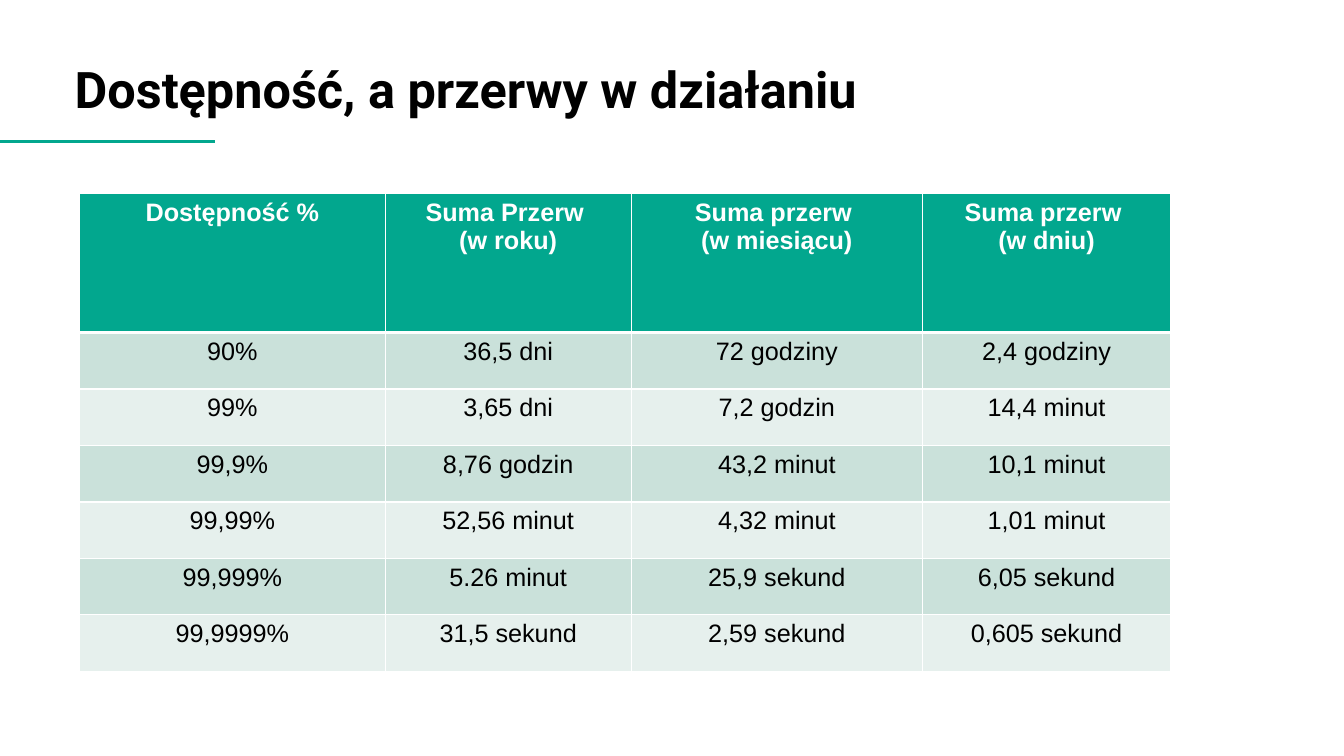
from dataclasses import dataclass

from lxml.etree import SubElement
from pptx import Presentation
from pptx.dml.color import RGBColor
from pptx.enum.shapes import MSO_CONNECTOR as Connector
from pptx.enum.text import MSO_ANCHOR as Anchor, PP_ALIGN as Align
from pptx.oxml.ns import qn
from pptx.util import Inches, Pt


@dataclass(frozen=True)
class Theme:
    """Colours, fonts and type sizes of the deck."""
    accent: str = "02A78E"
    bands: tuple = ("CAE1DA", "E6F0ED")
    ink: str = "000000"
    paper: str = "FFFFFF"
    title_font: str = "Roboto"
    body_font: str = "Arial"
    title_size: int = 36
    body_size: int = 18


@dataclass(frozen=True)
class Box:
    """A region measured in columns and rows of the slide grid."""
    left: float
    top: float
    width: float
    height: float


THEME = Theme()
COLUMNS, ROWS = 133.3, 75
TITLE_BOX = Box(7.4, 0, 118.4, 12.3)
RULE_BOX = Box(0, 14, 21.3, 0)
TABLE_BOX = Box(7.9, 19.2, 108.2, 47.4)
COLUMN_WIDTHS = (30.3, 24.4, 28.9, 24.6)
HEADER_HEIGHT = 13.8
TITLE = "Dostępność, a przerwy w działaniu"
OUTAGES = [
    ("Dostępność %", "Suma Przerw \n(w roku)", "Suma przerw \n(w miesiącu)", "Suma przerw \n(w dniu)"),
    ("90%", "36,5 dni", "72 godziny", "2,4 godziny"),
    ("99%", "3,65 dni", "7,2 godzin", "14,4 minut"),
    ("99,9%", "8,76 godzin", "43,2 minut", "10,1 minut"),
    ("99,99%", "52,56 minut", "4,32 minut", "1,01 minut"),
    ("99,999%", "5.26 minut", "25,9 sekund", "6,05 sekund"),
    ("99,9999%", "31,5 sekund", "2,59 sekund", "0,605 sekund"),
]


def grid(units):
    """Turn grid units into a slide length."""
    return Inches(units / 10)


def place(box):
    """Return the left, top, width and height of a box as lengths."""
    return [grid(units) for units in (box.left, box.top, box.width, box.height)]


def write(frame, text, *, font, size, color, bold=False, align=Align.LEFT):
    """Fill a text frame with one paragraph per line of text."""
    for index, line in enumerate(text.split("\n")):
        para = frame.add_paragraph() if index else frame.paragraphs[0]
        para.alignment = align
        span = para.add_run()
        span.text = line
        span.font.name = font
        span.font.size = Pt(size)
        span.font.bold = bold
        span.font.color.rgb = RGBColor.from_string(color)


def add_title(slide, box):
    """Place the slide title at the foot of its box."""
    frame = slide.shapes.add_textbox(*place(box)).text_frame
    frame.word_wrap = True
    frame.vertical_anchor = Anchor.BOTTOM
    frame.margin_left = frame.margin_right = 0
    write(frame, TITLE, font=THEME.title_font, size=THEME.title_size, color=THEME.ink, bold=True)


def add_rule(slide, box):
    """Draw the accent line along the top of its box."""
    left, top, width, _ = place(box)
    rule = slide.shapes.add_connector(Connector.STRAIGHT, left + width, top, left, top)
    rule.line.color.rgb = RGBColor.from_string(THEME.accent)
    rule.line.width = Pt(2)
    SubElement(rule._element.spPr, qn("a:effectLst"))


def add_borders(cell, top, bottom):
    """Give a cell white borders with the given top and bottom widths."""
    properties = cell._tc.get_or_add_tcPr()
    for side, width in (("L", 1), ("R", 1), ("T", top), ("B", bottom)):
        border = SubElement(properties, qn(f"a:ln{side}"), w=str(Pt(width)))
        fill = SubElement(border, qn("a:solidFill"))
        SubElement(fill, qn("a:srgbClr"), val=THEME.paper)


def add_outage_table(slide, box):
    """Build the availability table with a header and banded rows."""
    table = slide.shapes.add_table(len(OUTAGES), len(COLUMN_WIDTHS), *place(box)).table
    for column, width in zip(table.columns, COLUMN_WIDTHS):
        column.width = grid(width)
    body_height = (box.height - HEADER_HEIGHT) / (len(OUTAGES) - 1)
    for row_index, texts in enumerate(OUTAGES):
        header = row_index == 0
        table.rows[row_index].height = grid(HEADER_HEIGHT if header else body_height)
        background = THEME.accent if header else THEME.bands[(row_index - 1) % 2]
        for column_index, text in enumerate(texts):
            cell = table.cell(row_index, column_index)
            add_borders(cell, top=3 if row_index == 1 else 1, bottom=3 if header else 1)
            cell.fill.solid()
            cell.fill.fore_color.rgb = RGBColor.from_string(background)
            write(cell.text_frame, text, font=THEME.body_font, size=THEME.body_size,
                  color=THEME.paper if header else THEME.ink, bold=header, align=Align.CENTER)


def main():
    """Build and save the deck."""
    deck = Presentation()
    deck.slide_width, deck.slide_height = grid(COLUMNS), grid(ROWS)
    slide = deck.slides.add_slide(deck.slide_layouts[6])
    add_rule(slide, RULE_BOX)
    add_title(slide, TITLE_BOX)
    add_outage_table(slide, TABLE_BOX)
    deck.save("out.pptx")


if __name__ == "__main__":
    main()
